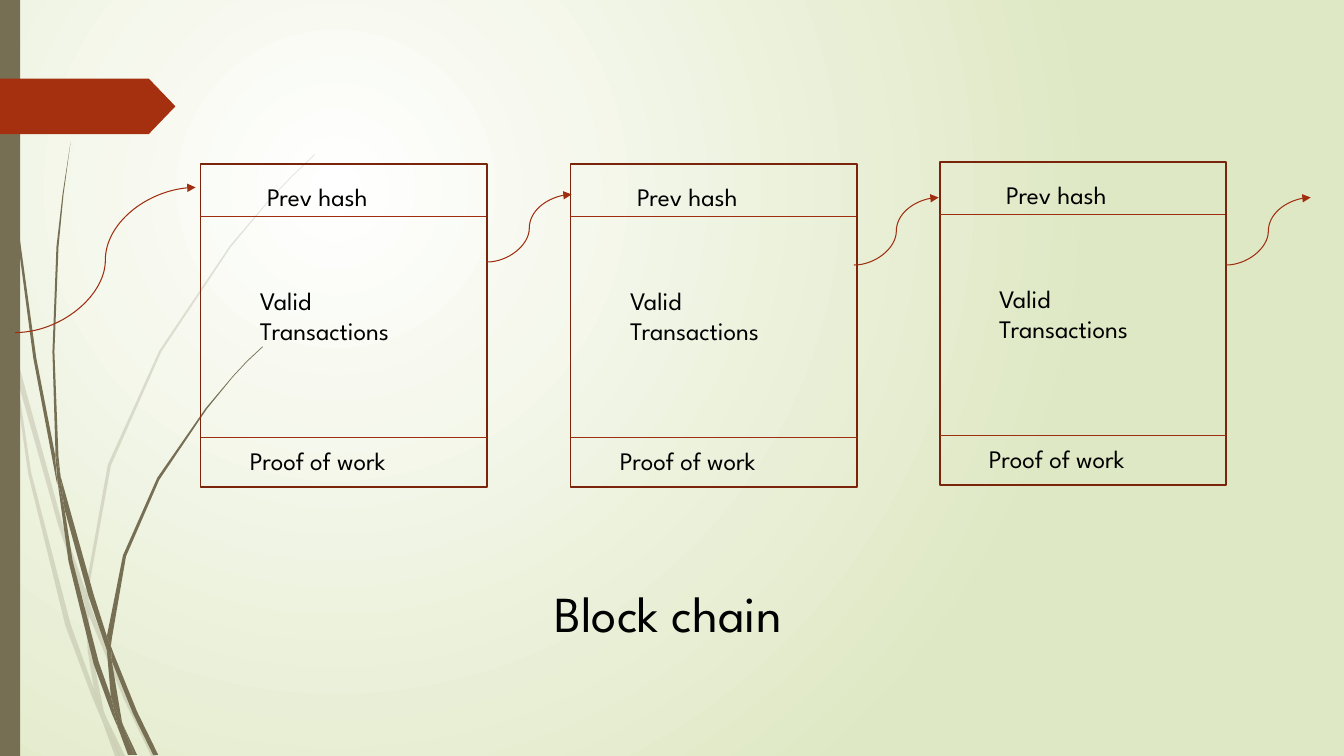
import dataclasses

import pptx
import pptx.dml.color
import pptx.enum.shapes
import pptx.enum.text
import pptx.oxml.ns
import pptx.util

Inches = pptx.util.Inches
Pt = pptx.util.Pt
qn = pptx.oxml.ns.qn
SHAPE = pptx.enum.shapes.MSO_SHAPE
LINK = pptx.enum.shapes.MSO_CONNECTOR


def rgb(code):
    return pptx.dml.color.RGBColor.from_string(code)


@dataclasses.dataclass(frozen=True)
class Theme:
    font: str = "League Spartan"
    text: str = "000000"
    grass: str = "766F54"
    banner: str = "A53010"
    frame: str = "7A240C"
    rule: str = "9E2E0F"
    glow: str = "FFFFFF"
    edge: str = "DFE8C4"
    title: int = 36
    body: int = 18


THEME = Theme()

# Outlines of the grass pieces, in inches on the slide.
FAINT = [
    [(.11, 3.5), (.09, 3.22), (0, 2.82), (0, 2.99), (.1, 3.44)],
    [(.58, 5.22), (.84, 5.99), (.85, 5.86), (.62, 5.2), (.14, 3.45), (.17, 3.76)],
    [(.92, 6.07), (.88, 5.96), (.88, 6.1), (1.23, 6.94), (1.5, 7.5), (1.55, 7.5),
     (1.27, 6.92)],
    [(1.19, 7.5), (1.24, 7.5), (1.05, 7.11)],
    [(.93, 6.83), (.7, 6.19), (.31, 4.69), (.17, 3.76), (.11, 3.5), (.28, 4.7),
     (.65, 6.21), (.92, 6.93), (1.01, 7.14), (.99, 7.07)],
    [(.84, 5.99), (.87, 6.46), (.93, 6.83), (.96, 6.92), (1.05, 7.11),
     (1.03, 7.06), (.91, 6.46), (.88, 6.1), (.88, 6.08)],
    [(.88, 5.84), (1.1, 4.62), (1.6, 3.49), (2.29, 2.45), (2.68, 1.98),
     (2.9, 1.75), (3.12, 1.54), (3.12, 1.53), (2.89, 1.75), (2.68, 1.97),
     (2.28, 2.44), (1.58, 3.48), (1.07, 4.61), (.85, 5.84), (.85, 5.86),
     (.88, 5.96)],
    [(1.01, 7.14), (1.14, 7.5), (1.19, 7.5)],
    [(.88, 6.08), (.88, 6.1), (.88, 5.96), (.85, 5.86), (.84, 5.99)],
    [(.96, 6.92), (.93, 6.83), (.99, 7.07), (1.01, 7.14), (1.19, 7.5),
     (1.05, 7.11)],
]
SOLID = [
    [(.07, 1.1), (.17, 2.33), (.33, 3.55), (.56, 4.77), (.57, 4.81), (.55, 4.57),
     (.55, 4.53), (.36, 3.55), (.19, 2.32), (.08, 1.09), (.05, .48), (.04, 0),
     (.03, 0), (.04, .48)],
    [(.88, 5.92), (1.06, 6.45), (1.06, 6.33), (1.06, 6.31), (.93, 5.9),
     (.6, 4.72), (.64, 5.05)],
    [(1.13, 6.49), (1.1, 6.41), (1.11, 6.56), (1.32, 7.08), (1.52, 7.49),
     (1.57, 7.49), (1.36, 7.06)],
    [(1.1, 6.91), (.98, 6.57), (.72, 5.56), (.64, 5.05), (.57, 4.77), (.68, 5.57),
     (.93, 6.59), (1.11, 7.08), (1.17, 7.22), (1.16, 7.17)],
    [(.6, 4.72), (.58, 4.53), (.54, 3.49), (.58, 2.45), (.63, 1.93), (.7, 1.41),
     (.62, 1.93), (.56, 2.45), (.52, 3.49), (.55, 4.49)],
    [(1.33, 7.49), (1.36, 7.49), (1.22, 7.19)],
    [(.57, 4.77), (.64, 5.05), (.6, 4.72), (.55, 4.49), (.55, 4.53)],
    [(1.11, 6.33), (1.25, 5.52), (1.58, 4.76), (2.05, 4.06), (2.31, 3.74),
     (2.45, 3.59), (2.61, 3.44), (2.6, 3.44), (2.45, 3.58), (2.31, 3.73),
     (2.04, 4.05), (1.56, 4.74), (1.22, 5.51), (1.06, 6.31), (1.1, 6.41)],
    [(1.17, 7.22), (1.27, 7.49), (1.31, 7.49)],
    [(1.06, 6.45), (1.1, 6.91), (1.16, 7.06), (1.22, 7.19), (1.21, 7.16),
     (1.11, 6.56), (1.09, 6.51)],
    [(1.06, 6.45), (1.09, 6.51), (1.11, 6.56), (1.1, 6.41), (1.06, 6.31),
     (1.06, 6.33)],
    [(1.16, 7.06), (1.1, 6.91), (1.16, 7.17), (1.17, 7.22), (1.3, 7.49),
     (1.33, 7.49), (1.22, 7.19)],
]


def paint(shape, color, alpha=100):
    shape.shadow.inherit = False
    shape.fill.solid()
    shape.fill.fore_color.rgb = rgb(color)
    shape.line.fill.background()
    if alpha < 100:
        tone = shape.element.spPr.find(".//" + qn("a:srgbClr"))
        tone.append(tone.makeelement(qn("a:alpha"), {"val": str(alpha * 1000)}))


def blade(slide, points, alpha):
    rim = [(Inches(x), Inches(y)) for x, y in points]
    pen = slide.shapes.build_freeform(*rim[0], scale=1.0)
    pen.add_line_segments(rim[1:], close=True)
    paint(pen.convert_to_shape(), THEME.grass, alpha)


def backdrop(slide):
    fill = slide.background.fill
    fill.gradient()
    for stop, color in zip(fill.gradient_stops, (THEME.glow, THEME.edge)):
        stop.color.rgb = rgb(color)
    grad = slide.element.find(".//" + qn("a:gradFill"))
    grad.remove(grad.find(qn("a:lin")))
    ring = grad.makeelement(qn("a:path"), {"path": "circle"})
    focus = {"l": "50000", "t": "50000", "r": "100000", "b": "100000"}
    ring.append(ring.makeelement(qn("a:fillToRect"), focus))
    grad.find(qn("a:gsLst")).addnext(ring)


def decor(slide, height):
    for group, alpha in ((FAINT, 20), (SOLID, 100)):
        for points in group:
            blade(slide, points, alpha)
    bar = slide.shapes.add_shape(
        SHAPE.RECTANGLE, 0, 0, Inches(.2), Inches(height))
    paint(bar, THEME.grass)
    flag = slide.shapes.add_shape(
        SHAPE.PENTAGON, 0, Inches(.78), Inches(1.74), Inches(.55))
    flag.adjustments[0] = .48
    paint(flag, THEME.banner)


def write(shape, text, size):
    frame = shape.text_frame
    frame.text = text
    frame.word_wrap = True
    frame.vertical_anchor = pptx.enum.text.MSO_ANCHOR.TOP
    frame.auto_size = pptx.enum.text.MSO_AUTO_SIZE.SHAPE_TO_FIT_TEXT
    para = frame.paragraphs[0]
    para.alignment = pptx.enum.text.PP_ALIGN.LEFT
    font = para.runs[0].font
    font.name = THEME.font
    font.size = Pt(size)
    font.color.rgb = rgb(THEME.text)


def link(slide, kind, start, end, arrow=False):
    line = slide.shapes.add_connector(kind, *map(Inches, (*start, *end)))
    line.line.color.rgb = rgb(THEME.rule)
    line.line.width = Pt(.75)
    props = line.element.spPr
    if arrow:
        stroke = props.find(qn("a:ln"))
        stroke.append(stroke.makeelement(qn("a:tailEnd"), {"type": "triangle"}))
    props.append(props.makeelement(qn("a:effectLst")))


def block(slide, left, top, width, height):
    box = slide.shapes.add_shape(
        SHAPE.RECTANGLE, *map(Inches, (left, top, width, height)))
    box.shadow.inherit = False
    box.fill.background()
    box.line.color.rgb = rgb(THEME.frame)
    box.line.width = Pt(1.25)
    for dx, dy in ((-.01, .52), (0, 2.71)):
        x, y = left + dx, top + dy
        link(slide, LINK.STRAIGHT, (x, y), (x + width, y))
    for text, dx, dy, tall in (("Prev hash", .56, .12, .4),
                               ("Proof of work", .39, 2.74, .4),
                               ("Valid Transactions", .49, 1.15, .71)):
        label = slide.shapes.add_textbox(
            *map(Inches, (left + dx, top + dy, 1.85, tall)))
        write(label, text, THEME.body)


def chain(slide):
    for left, top in ((1.99, 1.63), (5.66, 1.63), (9.32, 1.61)):
        block(slide, left, top, 2.84, 3.2)
    for x, y, dx, dy in ((.15, 3.3, 1.79, 1.44), (4.83, 2.6, .84, .67),
                         (8.47, 2.63, .84, .67), (12.16, 2.63, .84, .67)):
        link(slide, LINK.CURVE, (x, y), (x + dx, y - dy), arrow=True)


def caption(slide, left, top, width, height):
    title = slide.shapes.title
    title.left, title.top = Inches(left), Inches(top)
    title.width, title.height = Inches(width), Inches(height)
    write(title, "Block chain", THEME.title)


def main():
    deck = pptx.Presentation()
    deck.slide_width, deck.slide_height = Inches(13.33), Inches(7.5)
    slide = deck.slides.add_slide(deck.slide_layouts[5])
    backdrop(slide)
    decor(slide, 7.5)
    chain(slide)
    caption(slide, 5.4, 5.72, 3.49, .71)
    deck.save("out.pptx")


if __name__ == "__main__":
    main()
